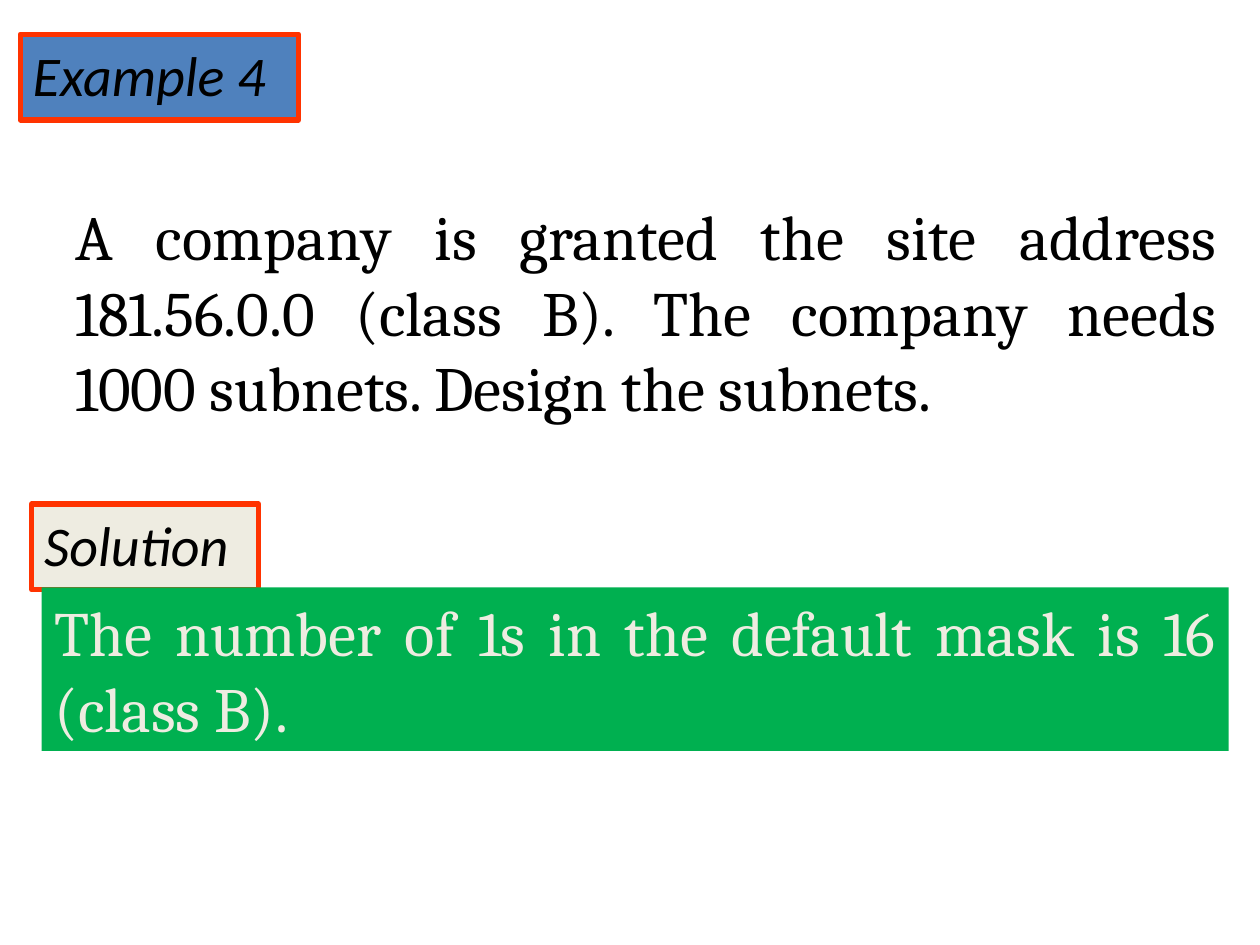
from dataclasses import dataclass
from typing import Optional

from pptx import Presentation
from pptx.dml.color import RGBColor
from pptx.enum.shapes import MSO_SHAPE
from pptx.enum.text import MSO_ANCHOR, PP_ALIGN
from pptx.util import Cm, Pt

RECTANGLE = MSO_SHAPE.RECTANGLE
TOP = MSO_ANCHOR.TOP
LEFT, JUSTIFY = PP_ALIGN.LEFT, PP_ALIGN.JUSTIFY

BLACK, CREAM, BLUE, GREEN, RED = "000000", "EEECE1", "4F81BD", "00B050", "FF3300"


@dataclass
class Block:
    """One text block; left, top, width and height are in centimetres."""
    text: str
    left: float
    top: float
    width: float
    height: float
    fill: Optional[str] = None
    color: str = BLACK


def rgb(value: str) -> RGBColor:
    return RGBColor.from_string(value)


def write(frame, text: str, *, font: str, size: int, color: str,
          italic: bool = False, align=LEFT) -> None:
    frame.word_wrap = True
    frame.vertical_anchor = TOP
    paragraph = frame.paragraphs[0]
    paragraph.alignment = align
    run = paragraph.add_run()
    run.text = text
    run.font.name = font
    run.font.size = Pt(size)
    run.font.italic = italic
    run.font.color.rgb = rgb(color)


def place(slide, block: Block, outline: Optional[str] = None):
    bounds = [Cm(n) for n in (block.left, block.top, block.width, block.height)]
    if block.fill is None:
        return slide.shapes.add_textbox(*bounds)
    box = slide.shapes.add_shape(RECTANGLE, *bounds)
    box.shadow.inherit = False
    box.fill.solid()
    box.fill.fore_color.rgb = rgb(block.fill)
    if outline:
        box.line.color.rgb = rgb(outline)
        box.line.width = Pt(3)
    else:
        box.line.fill.background()
    return box


def add_label(slide, block: Block) -> None:
    label = place(slide, block, outline=RED)
    write(label.text_frame, block.text, font="Calibri", size=32,
          color=block.color, italic=True)


def add_statement(slide, block: Block) -> None:
    statement = place(slide, block)
    write(statement.text_frame, block.text, font="Cambria", size=36,
          color=block.color, align=JUSTIFY)


def main() -> None:
    deck = Presentation()
    deck.slide_width, deck.slide_height = Cm(25.4), Cm(19.05)
    slide = deck.slides.add_slide(deck.slide_layouts[6])

    add_label(slide, Block("Example 4", 0.41, 0.69, 5.61, 1.73, BLUE))
    add_statement(slide, Block(
        "A company is granted the site address 181.56.0.0 (class B). "
        "The company needs 1000 subnets. Design the subnets.",
        1.27, 3.86, 23.5, 4.83))
    add_label(slide, Block("Solution", 0.64, 10.16, 4.57, 1.73, CREAM))
    add_statement(slide, Block(
        "The number of 1s in the default mask is 16 (class B).",
        0.84, 11.84, 23.93, 3.3, GREEN, CREAM))

    deck.save("out.pptx")


if __name__ == "__main__":
    main()
